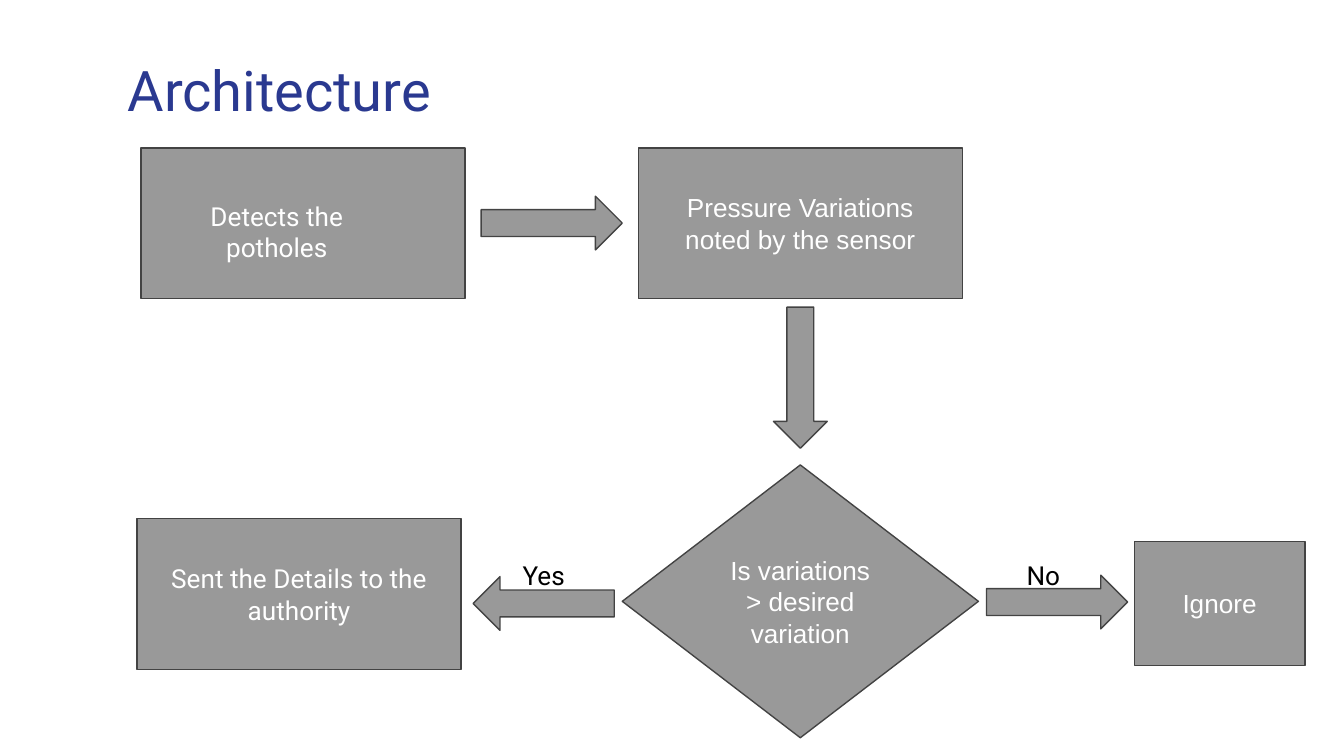
from pptx import Presentation
from pptx.dml.color import RGBColor
from pptx.enum.shapes import MSO_SHAPE
from pptx.enum.text import MSO_ANCHOR, MSO_AUTO_SIZE, PP_ALIGN
from pptx.util import Inches, Pt

GRAY = RGBColor(0x99, 0x99, 0x99)
DARK_GRAY = RGBColor(0x43, 0x43, 0x43)
WHITE = RGBColor(0xFF, 0xFF, 0xFF)
BLACK = RGBColor(0x00, 0x00, 0x00)
NAVY = RGBColor(0x2A, 0x39, 0x90)

BOX_SIZE = (2.41, 1.12)
ARROW_SIZE = (1.05, 0.4)
LABEL_SIZE = (0.64, 0.28)
TOP_ROW = 1.1
LABEL_TOP = 4.06


def write_text(shape, text, font="Roboto", size=14, color=WHITE,
               align=PP_ALIGN.CENTER, anchor=MSO_ANCHOR.MIDDLE):
    """Put one formatted paragraph into a shape."""
    frame = shape.text_frame
    frame.word_wrap = True
    frame.auto_size = MSO_AUTO_SIZE.NONE
    frame.vertical_anchor = anchor
    frame.margin_left = frame.margin_right = Inches(0.1)
    frame.margin_top = frame.margin_bottom = Inches(0.1)
    paragraph = frame.paragraphs[0]
    paragraph.alignment = align
    run = paragraph.add_run()
    run.text = text
    run.font.name = font
    run.font.size = Pt(size)
    run.font.color.rgb = color


class FlowchartSlide:
    """Hold the flowchart style and the slide being drawn."""

    def __init__(self, presentation):
        self.slide = presentation.slides.add_slide(presentation.slide_layouts[5])
        self.fill = GRAY
        self.outline = DARK_GRAY
        self.line_width = Pt(0.75)

    def title(self, text, left, top, width, height):
        shape = self.slide.shapes.title
        shape.left, shape.top = Inches(left), Inches(top)
        shape.width, shape.height = Inches(width), Inches(height)
        write_text(shape, text, size=30, color=NAVY,
                   align=PP_ALIGN.LEFT, anchor=MSO_ANCHOR.TOP)

    def node(self, kind, left, top, size, text=None, font="Arial"):
        shape = self.slide.shapes.add_shape(
            kind, Inches(left), Inches(top), *map(Inches, size))
        shape.shadow.inherit = False
        shape.fill.solid()
        shape.fill.fore_color.rgb = self.fill
        shape.line.color.rgb = self.outline
        shape.line.width = self.line_width
        if text:
            write_text(shape, text, font=font)
        return shape

    def arrow(self, left, top, rotation=0):
        shape = self.node(MSO_SHAPE.RIGHT_ARROW, left, top, ARROW_SIZE)
        shape.rotation = rotation

    def label(self, text, left, top, size, **text_format):
        shape = self.slide.shapes.add_textbox(
            Inches(left), Inches(top), *map(Inches, size))
        write_text(shape, text, anchor=MSO_ANCHOR.TOP, **text_format)


def main():
    presentation = Presentation()
    presentation.slide_width = Inches(10)
    presentation.slide_height = presentation.slide_width * 9 // 16

    chart = FlowchartSlide(presentation)
    chart.title("Architecture", 0.85, 0.31, 8.03, 0.57)

    chart.node(MSO_SHAPE.RECTANGLE, 1.05, TOP_ROW, BOX_SIZE)
    chart.label("Detects the potholes", 1.09, 1.39, (1.94, 0.59))
    chart.node(MSO_SHAPE.RECTANGLE, 4.75, TOP_ROW, BOX_SIZE,
               "Pressure Variations noted by the sensor")
    chart.node(MSO_SHAPE.FLOWCHART_DECISION, 4.63, 3.46, (2.65, 2.03),
               "Is variations > desired variation")
    chart.node(MSO_SHAPE.RECTANGLE, 1.02, 3.86, BOX_SIZE,
               "Sent the Details to the authority", font="Roboto")
    chart.node(MSO_SHAPE.RECTANGLE, 8.44, 4.03, (1.27, 0.92), "Ignore")

    chart.arrow(3.58, 1.46)
    chart.arrow(5.43, 2.61, rotation=90)
    chart.arrow(3.52, 4.29, rotation=180)
    chart.arrow(7.34, 4.28)

    for text, left in (("Yes", 3.79), ("No", 7.54)):
        chart.label(text, left, LABEL_TOP, LABEL_SIZE,
                    color=BLACK, align=PP_ALIGN.LEFT)

    presentation.save("out.pptx")


if __name__ == "__main__":
    main()
